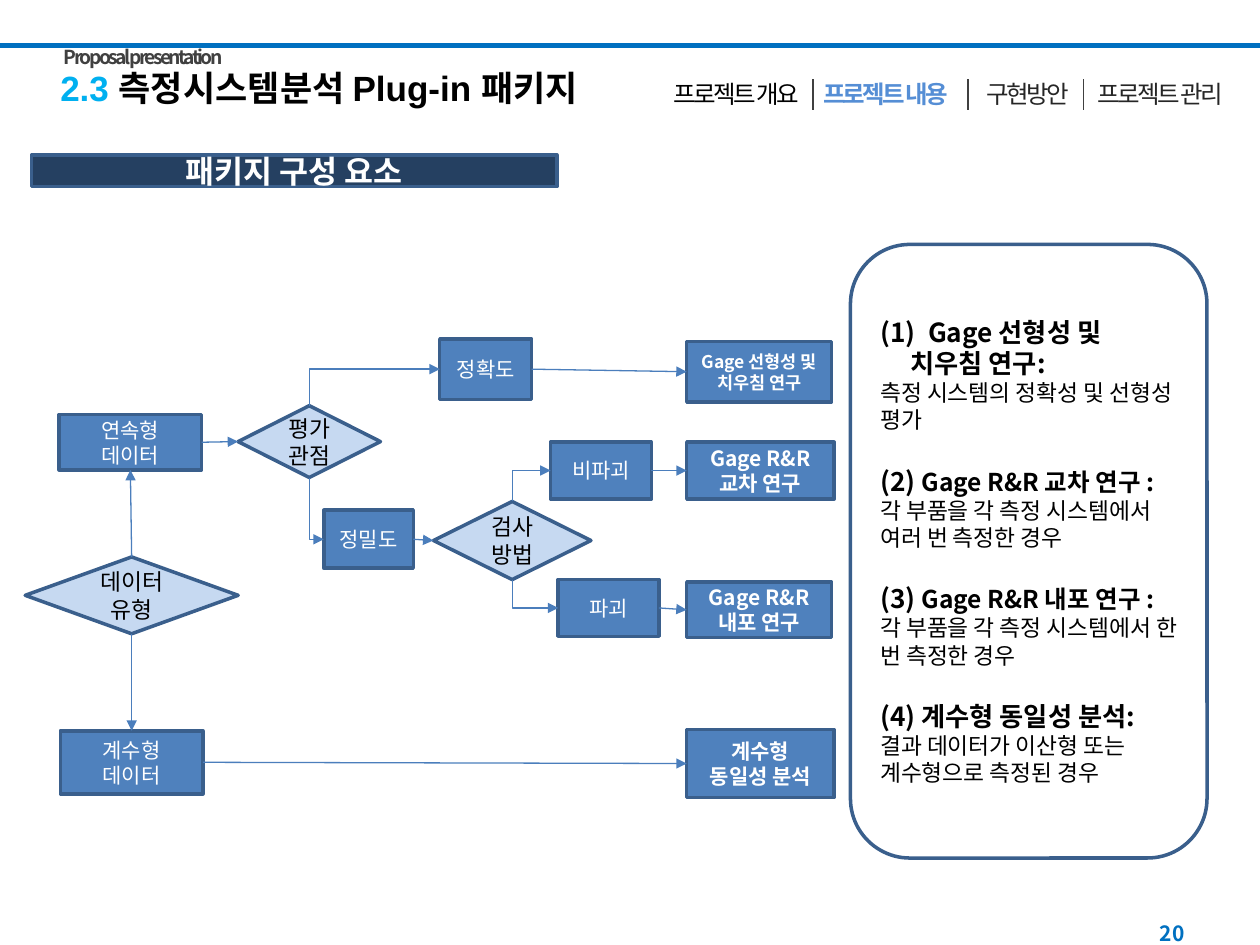
from dataclasses import dataclass

from lxml.etree import SubElement
from pptx import Presentation
from pptx.dml.color import RGBColor
from pptx.enum.shapes import MSO_CONNECTOR, MSO_SHAPE
from pptx.enum.text import MSO_ANCHOR, PP_ALIGN
from pptx.oxml.ns import qn
from pptx.util import Inches, Pt


@dataclass(frozen=True)
class Theme:
    font: str = "Noto Sans CJK KR"
    title_font: str = "Arial"
    black: str = "000000"
    white: str = "FFFFFF"
    dark: str = "262626"
    gray: str = "404040"
    rule: str = "0070C0"
    number: str = "00B0F0"
    active: str = "558ED5"
    banner: str = "254061"
    box: str = "4F81BD"
    diamond: str = "C6D9F1"
    outline: str = "3A5F8C"
    arrow: str = "4B7EBC"
    title: int = 20
    heading: int = 18
    item: int = 15
    item_name: int = 14
    nav: int = 14
    body: int = 13
    node: int = 12
    tag: int = 11
    small: int = 10


T = Theme()
prs = Presentation()
prs.slide_width, prs.slide_height = Inches(10), Inches(7.5)
CELL = prs.slide_width // 10  # grid of 10 columns by 7.5 rows
s = prs.slides.add_slide(prs.slide_layouts[6])


def write(p, parts, align=PP_ALIGN.LEFT, font=T.font, spacing=None):
    """Add runs given as (text, size, colour, bold) to a paragraph."""
    p.alignment = align
    for text, size, color, bold in parts:
        r = p.add_run()
        r.text = text
        r.font.size, r.font.bold, r.font.name = Pt(size), bold, font
        r.font.color.rgb = RGBColor.from_string(color)
        rpr = r.font._element
        SubElement(rpr, qn("a:ea")).set("typeface", T.font)
        if spacing:
            rpr.set("spc", str(int(spacing * 100)))


def add_line(kind, ends, color, width):
    line = s.shapes.add_connector(kind, *(int(v * CELL) for v in ends))
    line.line.color.rgb = RGBColor.from_string(color)
    line.line.width = Pt(width)
    SubElement(line._element.spPr, qn("a:effectLst"))
    return line


# Header: box, alignment, wrap, font, letter spacing, runs
add_line(MSO_CONNECTOR.STRAIGHT, (0, 0.36, 10, 0.36), T.rule, 3)
CENTER = PP_ALIGN.CENTER
labels = [
    ((7.17, 7.21, 2.33, 0.4), PP_ALIGN.RIGHT, True, T.font, None,
     [("20", T.node, T.rule, True)]),
    ((0.38, 0.48, 4.92, 0.44), PP_ALIGN.LEFT, True, T.title_font, None,
     [("2.3 ", T.title, T.number, True),
      ("측정시스템분석 Plug-in 패키지", T.title, T.black, True)]),
    ((0.41, 0.31, 2.44, 0.29), PP_ALIGN.JUSTIFY, True, T.font, -1.5,
     [("Proposal presentation", T.tag, T.gray, True)]),
]
for left, width, text, color, bold in [
    (5, 1.69, "프로젝트 개요", T.black, False),
    (6.36, 1.34, "프로젝트 내용", T.active, True),
    (7.62, 1.07, "구현방안", T.dark, False),
    (8.56, 1.3, "프로젝트 관리", T.dark, False),
]:
    labels.append(((left, 0.58, width, 0.34), CENTER, False, T.font, -1.5,
                   [(text, T.nav, color, bold)]))
for box, align, wrap, font, spacing, parts in labels:
    tf = s.shapes.add_textbox(*(int(v * CELL) for v in box)).text_frame
    tf.word_wrap = wrap
    tf.vertical_anchor = MSO_ANCHOR.MIDDLE if box[1] > 7 else MSO_ANCHOR.TOP
    write(tf.paragraphs[0], parts, align, font, spacing)
for x in (6.45, 7.68, 8.6):
    add_line(MSO_CONNECTOR.STRAIGHT, (x, 0.63, x, 0.87), T.gray, 1)

# Flow chart: name -> preset, box, fill, text colour, size, bold, lines
BOX, DIAMOND = MSO_SHAPE.FLOWCHART_PROCESS, MSO_SHAPE.FLOWCHART_DECISION
step = (T.box, T.white, T.node, False)
study = (T.box, T.white, T.node, True)
choice = (T.diamond, T.black, T.body, False)
nodes = {
    "banner": (BOX, (0.25, 1.23, 4.17, 0.25),
               (T.banner, T.white, T.heading, True), ["패키지 구성 요소"]),
    "panel": (MSO_SHAPE.ROUNDED_RECTANGLE, (6.75, 1.94, 2.83, 4.87),
              (None, T.black, T.body, False), []),
    "continuous": (BOX, (0.47, 3.29, 1.13, 0.44), step, ["연속형", "데이터"]),
    "discrete": (BOX, (0.48, 5.8, 1.13, 0.5), step, ["계수형", "데이터"]),
    "accuracy": (BOX, (3.49, 2.69, 0.73, 0.48), step, ["정확도"]),
    "precision": (BOX, (2.57, 4.05, 0.71, 0.46), step, ["정밀도"]),
    "intact": (BOX, (4.37, 3.51, 0.8, 0.45), step, ["비파괴"]),
    "destructive": (BOX, (4.43, 4.6, 0.8, 0.45), step, ["파괴"]),
    "linearity": (BOX, (5.45, 2.71, 1.15, 0.48),
                  (T.box, T.white, T.small, True), ["Gage 선형성 및 치우침 연구"]),
    "crossed": (BOX, (5.45, 3.51, 1.17, 0.45), study, ["Gage R&R", "교차 연구"]),
    "nested": (BOX, (5.45, 4.62, 1.15, 0.44), study, ["Gage R&R", "내포 연구"]),
    "agreement": (BOX, (5.45, 5.79, 1.17, 0.54), study, ["계수형", "동일성 분석"]),
    "data type": (DIAMOND, (0.2, 4.42, 1.69, 0.61), choice, ["데이터유형"]),
    "viewpoint": (DIAMOND, (1.89, 3.22, 1.13, 0.57), choice, ["평가 관점"]),
    "method": (DIAMOND, (3.44, 3.98, 1.25, 0.62), choice, ["검사방법"]),
}
shapes = {}
for name, (preset, box, (fill, color, size, bold), lines) in nodes.items():
    sp = s.shapes.add_shape(preset, *(int(v * CELL) for v in box))
    sp.shadow.inherit = False
    if fill:
        sp.fill.solid()
        sp.fill.fore_color.rgb = RGBColor.from_string(fill)
    else:
        sp.fill.background()
    sp.line.color.rgb = RGBColor.from_string(T.outline)
    sp.line.width = Pt(2)
    tf = sp.text_frame
    tf.word_wrap, tf.vertical_anchor = True, MSO_ANCHOR.MIDDLE
    for i, text in enumerate(lines):
        p = tf.add_paragraph() if i else tf.paragraphs[0]
        write(p, [(text, size, color, bold)], CENTER)
    shapes[name] = sp

# Arrows join connection sites of the nodes
TOP, LEFT, BOTTOM, RIGHT = range(4)
for start, out, end, into in [
    ("data type", TOP, "continuous", BOTTOM),
    ("data type", BOTTOM, "discrete", TOP),
    ("continuous", RIGHT, "viewpoint", LEFT),
    ("viewpoint", TOP, "accuracy", LEFT),
    ("viewpoint", BOTTOM, "precision", LEFT),
    ("precision", RIGHT, "method", LEFT),
    ("method", TOP, "intact", LEFT),
    ("method", BOTTOM, "destructive", LEFT),
    ("accuracy", RIGHT, "linearity", LEFT),
    ("intact", RIGHT, "crossed", LEFT),
    ("destructive", RIGHT, "nested", LEFT),
    ("discrete", RIGHT, "agreement", LEFT),
]:
    bent = out in (TOP, BOTTOM) and into == LEFT
    kind = MSO_CONNECTOR.ELBOW if bent else MSO_CONNECTOR.STRAIGHT
    arrow = add_line(kind, (0, 0, 1, 1), T.arrow, 0.75)
    arrow.begin_connect(shapes[start], out)
    arrow.end_connect(shapes[end], into)
    SubElement(arrow.line._get_or_add_ln(), qn("a:tailEnd")).set("type", "triangle")
    if bent:  # turn at the start: vertical first, then horizontal
        guide = SubElement(arrow._element.spPr.prstGeom.get_or_add_avLst(), qn("a:gd"))
        guide.set("name", "adj1")
        guide.set("fmla", "val 0")

# Explanations: runs of each paragraph, left margin, first-line indent, gap before
head = (T.item, T.black, True)
name = (T.item_name, T.black, True)
body = (T.body, T.black, False)
tf = shapes["panel"].text_frame
for i, (parts, margin, indent, gap) in enumerate([
    ([("Gage 선형성 및", *head)], 0.38, -0.38, 0),
    ([("치우침 연구:", *head)], 0.24, 0, 0),
    ([("측정 시스템의 정확성 및 선형성 평가", *body)], 0, 0, 0),
    ([("(2) ", *head), ("Gage R&R 교차 연구 :", *name)], 0, 0, 18),
    ([("각 부품을 각 측정 시스템에서 여러 번 측정한 경우", *body)], 0, 0, 0),
    ([("(3) ", *head), ("Gage R&R 내포 연구 :", *name)], 0, 0, 18),
    ([("각 부품을 각 측정 시스템에서 한 번 측정한 경우", *body)], 0, 0, 0),
    ([("(4) 계수형 동일성 분석:", *head)], 0, 0, 18),
    ([("결과 데이터가 이산형 또는 계수형으로 측정된 경우", *body)], 0, 0, 0),
]):
    p = tf.add_paragraph() if i else tf.paragraphs[0]
    if gap:
        p.space_before = Pt(gap)
    ppr = p._p.get_or_add_pPr()
    ppr.set("marL", str(int(margin * CELL)))
    ppr.set("indent", str(int(indent * CELL)))
    if indent:
        SubElement(ppr, qn("a:buFont")).set("typeface", T.font)
        SubElement(ppr, qn("a:buAutoNum")).set("type", "arabicParenBoth")
    write(p, parts)

prs.save("out.pptx")
